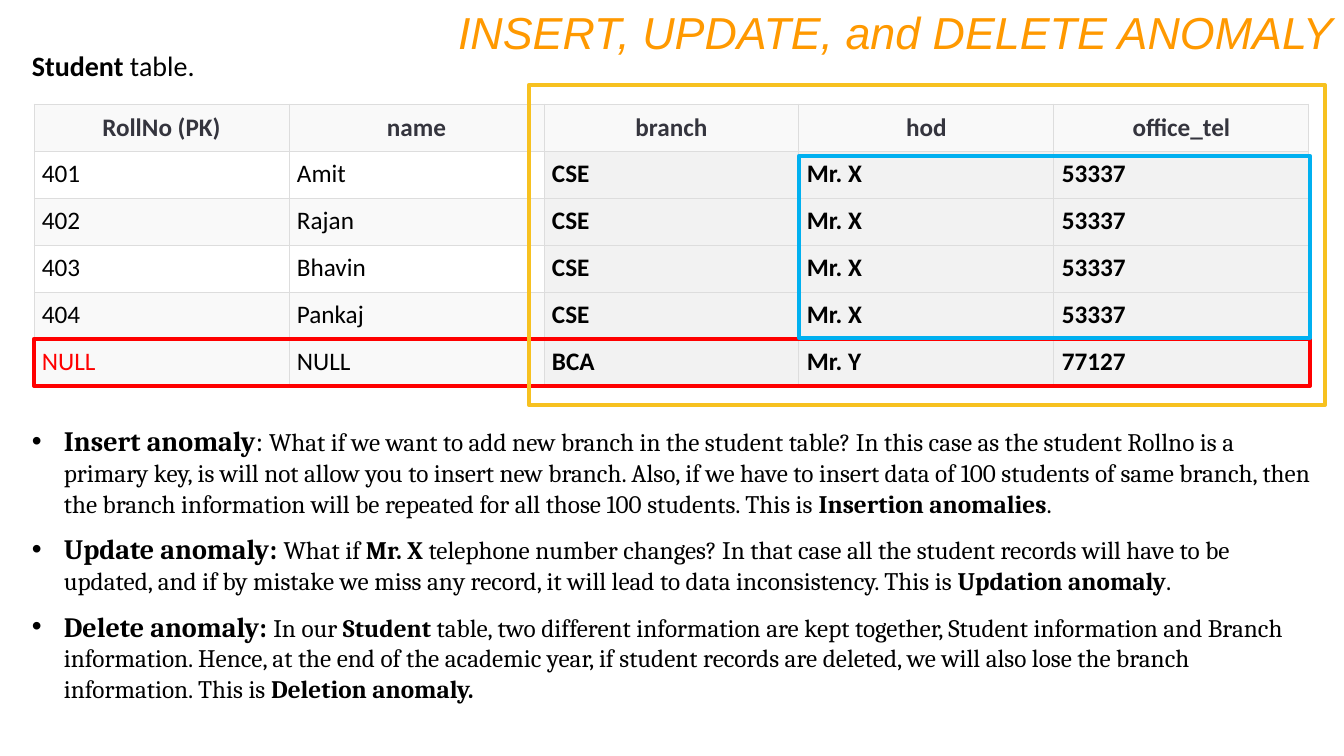
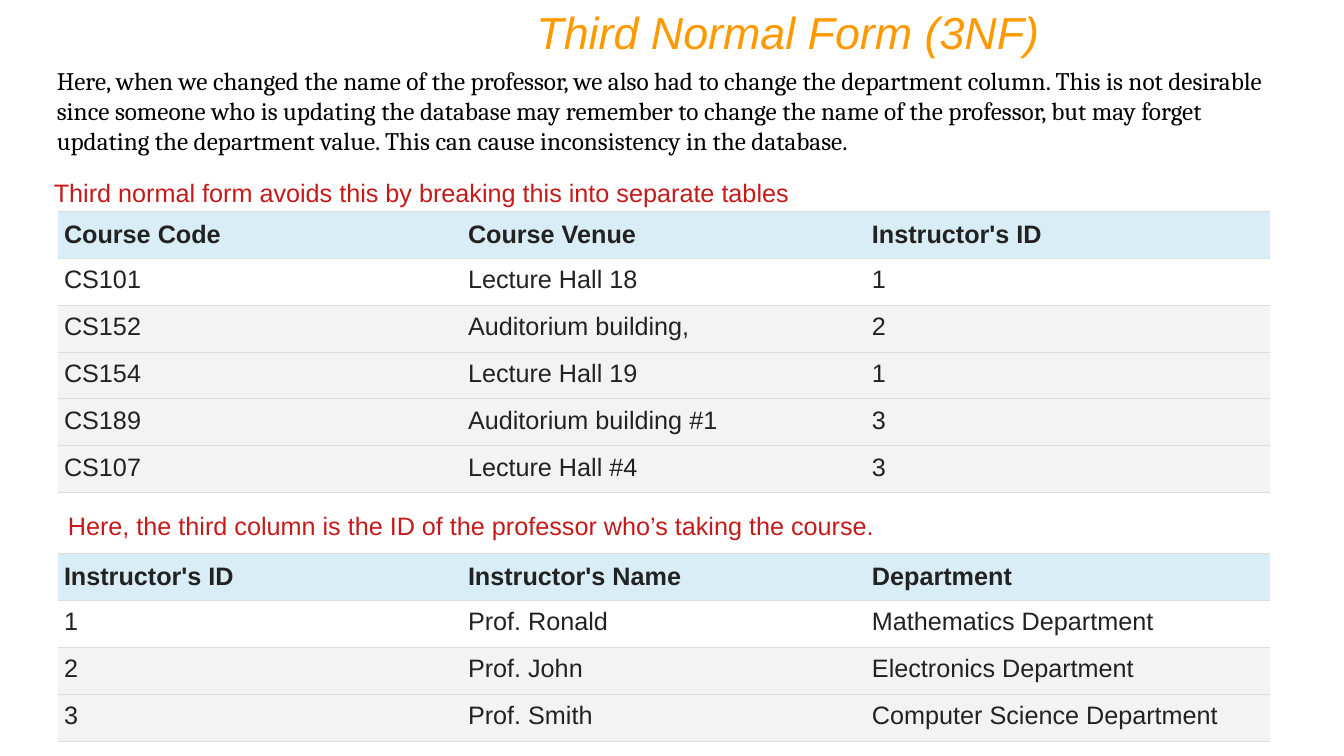
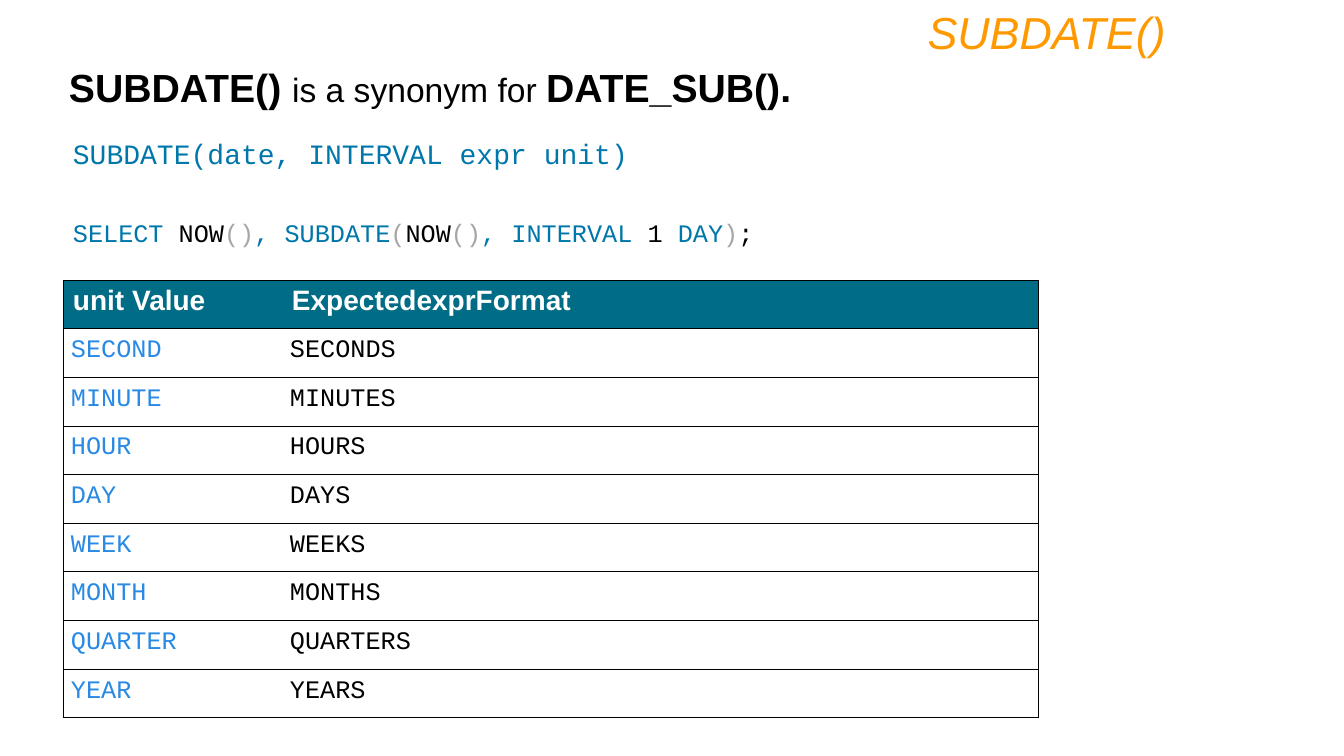
import pptx
import pptx.dml.color
import pptx.enum.shapes
import pptx.enum.text
import pptx.oxml.ns
import pptx.util
import lxml.etree

RGBColor = pptx.dml.color.RGBColor
Align = pptx.enum.text.PP_ALIGN
Anchor = pptx.enum.text.MSO_ANCHOR

PX_PER_INCH = 100.8
SLIDE_WIDTH, SLIDE_HEIGHT = 1344, 756

BLACK = RGBColor(0x00, 0x00, 0x00)
WHITE = RGBColor(0xFF, 0xFF, 0xFF)
ORANGE = RGBColor(0xFF, 0x99, 0x00)
RED = RGBColor(0xFF, 0x00, 0x00)
SKY = RGBColor(0x00, 0xB0, 0xF0)
GOLD = RGBColor(0xF7, 0xC1, 0x20)
CRIMSON = RGBColor(0xC4, 0x1A, 0x1A)
CHARCOAL = RGBColor(0x22, 0x22, 0x22)
SLATE = RGBColor(0x35, 0x35, 0x3E)
BORDER_GREY = RGBColor(0xDD, 0xDD, 0xDD)
BAND_LIGHT = RGBColor(0xF9, 0xF9, 0xF9)
BAND_GREY = RGBColor(0xF3, 0xF3, 0xF3)
BRANCH_GREY = RGBColor(0xF2, 0xF2, 0xF2)
PALE_BLUE = RGBColor(0xD9, 0xED, 0xF7)
TEAL = RGBColor(0x00, 0x6C, 0x86)
KEYWORD_BLUE = RGBColor(0x00, 0x77, 0xAA)
UNIT_BLUE = RGBColor(0x29, 0x8A, 0xE5)
BRACKET_GREY = RGBColor(0xA6, 0xA6, 0xA6)

STRONG = {"bold": True}
LEAD = {"bold": True, "size": 20}
KEYWORD = {"color": KEYWORD_BLUE}
BRACKET = {"color": BRACKET_GREY}

STUDENTS = [
    ["RollNo (PK)", "name", "branch", "hod", "office_tel"],
    ["401", "Amit", "CSE", "Mr. X", "53337"],
    ["402", "Rajan", "CSE", "Mr. X", "53337"],
    ["403", "Bhavin", "CSE", "Mr. X", "53337"],
    ["404", "Pankaj", "CSE", "Mr. X", "53337"],
    ["NULL", "NULL", "BCA", "Mr. Y", "77127"],
]
ANOMALIES = [
    [("Insert anomaly", LEAD), (": ", {"size": 20}),
     ("What if we want to add new branch in the student table? In this case as the student "
      "Rollno is a primary key, is will not allow you to insert new branch. Also, if we have "
      "to insert data of 100 students of same branch, then the branch information will be "
      "repeated for all those 100 students. This is ", {}),
     ("Insertion anomalies", STRONG), (".", {})],
    [("Update anomaly: ", LEAD), ("What if ", {}), ("Mr. X ", STRONG),
     ("telephone number changes? In that case all the student records will have to be updated, "
      "and if by mistake we miss any record, it will lead to data inconsistency. This is ", {}),
     ("Updation anomaly", STRONG), (".", {})],
    [("Delete anomaly: ", LEAD), ("In our ", {}), ("Student", STRONG),
     (" table, two different information are kept together, Student information and Branch "
      "information. Hence, at the end of the academic year, if student records are deleted, "
      "we will also lose the branch information. This is ", {}),
     ("Deletion anomaly.", STRONG)],
]
COURSES = [
    ["Course Code", "Course Venue", "Instructor's ID"],
    ["CS101", "Lecture Hall 18", "1"],
    ["CS152", "Auditorium building,", "2"],
    ["CS154", "Lecture Hall 19", "1"],
    ["CS189", "Auditorium building #1", "3"],
    ["CS107", "Lecture Hall #4", "3"],
]
INSTRUCTORS = [
    ["Instructor's ID", "Instructor's Name", "Department"],
    ["1", "Prof. Ronald", "Mathematics Department"],
    ["2", "Prof. John", "Electronics Department"],
    ["3", "Prof. Smith", "Computer Science Department"],
]
UNITS = ["SECOND", "MINUTE", "HOUR", "DAY", "WEEK", "MONTH", "QUARTER", "YEAR"]


def px(length):
    return pptx.util.Inches(length / PX_PER_INCH)


def add_element(parent, tag, **attributes):
    return lxml.etree.SubElement(parent, pptx.oxml.ns.qn(tag), attributes)


def write_span(para, text, size=18, font="Arial", color=BLACK, bold=False, italic=False):
    span = para.add_run()
    span.text = text
    span.font.size = pptx.util.Pt(size)
    span.font.name = font
    span.font.color.rgb = color
    span.font.bold = bold
    span.font.italic = italic


def write_spans(para, spans, **base):
    for text, changes in spans:
        write_span(para, text, **{**base, **changes})


def set_bullet(para, indent):
    properties = para._p.get_or_add_pPr()
    properties.set("marL", str(px(indent)))
    properties.set("indent", str(-px(indent)))
    add_element(properties, "a:buFont", typeface="Arial")
    add_element(properties, "a:buChar", char="•")


def add_titled_slide(deck, text, left, width):
    page = deck.slides.add_slide(deck.slide_layouts[5])
    title = page.shapes.title
    title.left, title.top, title.width, title.height = px(left), px(0), px(width), px(64)
    frame = title.text_frame
    frame.auto_size = pptx.enum.text.MSO_AUTO_SIZE.NONE
    frame.vertical_anchor = Anchor.TOP
    para = frame.paragraphs[0]
    para.alignment = Align.RIGHT
    write_span(para, text, size=32, color=ORANGE, italic=True)
    return page


def add_text_box(page, left, top, width, height, paragraphs, bullets=False, gap=0, **base):
    box = page.shapes.add_textbox(px(left), px(top), px(width), px(height))
    frame = box.text_frame
    frame.word_wrap = True
    for index, spans in enumerate(paragraphs):
        para = frame.add_paragraph() if index else frame.paragraphs[0]
        if bullets:
            set_bullet(para, 32)
        if index:
            para.space_before = pptx.util.Pt(gap)
        write_spans(para, spans, **base)


def add_outline(page, left, top, width, height, color):
    frame = page.shapes.add_shape(pptx.enum.shapes.MSO_SHAPE.RECTANGLE,
                                  px(left), px(top), px(width), px(height))
    frame.shadow.inherit = False
    frame.fill.background()
    frame.line.color.rgb = color
    frame.line.width = pptx.util.Pt(3)


def set_borders(cell, sides, color):
    properties = cell._tc.get_or_add_tcPr()
    for side in "LRTB":
        line = add_element(properties, f"a:ln{side}", w=str(pptx.util.Pt(0.75)))
        if side in sides:
            fill = add_element(line, "a:solidFill")
            add_element(fill, "a:srgbClr", val=str(color))
        else:
            add_element(line, "a:noFill")


def border_sides(column, last_column, verticals):
    left = verticals == "all" or (verticals == "outer" and column == 0)
    right = verticals == "all" or (verticals == "outer" and column == last_column)
    return "TB" + "L" * left + "R" * right


def add_table(page, left, top, widths, height, rows, cell_style, border, verticals,
              padding, header_padding=None, header_align=Align.LEFT, header_anchor=Anchor.TOP):
    table = page.shapes.add_table(len(rows), len(widths), px(left), px(top),
                                  px(sum(widths)), px(height)).table
    table.first_row = table.horz_banding = False
    for column, width in zip(table.columns, widths):
        column.width = px(width)
    for row_index, texts in enumerate(rows):
        table.rows[row_index].height = px(height / len(rows))
        header = row_index == 0
        across, down = header_padding if header and header_padding else padding
        for column_index, text in enumerate(texts):
            cell = table.cell(row_index, column_index)
            fill, text_format = cell_style(row_index, column_index)
            cell.margin_left = cell.margin_right = px(across)
            cell.margin_top = cell.margin_bottom = px(down)
            cell.vertical_anchor = header_anchor if header else Anchor.TOP
            set_borders(cell, border_sides(column_index, len(widths) - 1, verticals), border)
            if fill is None:
                cell.fill.background()
            else:
                cell.fill.solid()
                cell.fill.fore_color.rgb = fill
            para = cell.text_frame.paragraphs[0]
            para.alignment = header_align if header else Align.LEFT
            write_span(para, text, **text_format)


def student_style(row, column):
    if row == 0:
        return BAND_LIGHT, {"font": "Calibri", "color": SLATE, "bold": True}
    if column >= 2:
        return BRANCH_GREY, {"font": "Calibri", "bold": True}
    missing_key = row == len(STUDENTS) - 1 and column == 0
    fill = None if row in (1, 3) else BAND_LIGHT
    return fill, {"font": "Calibri", "color": RED if missing_key else BLACK}


def course_style(row, column):
    fill = {0: PALE_BLUE, 1: WHITE}.get(row, BAND_GREY)
    return fill, {"color": CHARCOAL, "bold": row == 0}


def unit_style(row, column):
    if row == 0:
        return TEAL, {"size": 20, "color": WHITE, "bold": True}
    return None, {"font": "Courier New", "color": BLACK if column else UNIT_BLUE}


def build_anomalies(deck):
    page = add_titled_slide(deck, "INSERT, UPDATE, and DELETE ANOMALY", 0, SLIDE_WIDTH)
    add_text_box(page, 22, 419, 1299, 291, ANOMALIES, bullets=True, gap=9.7, font="Cambria")
    add_table(page, 34, 104, [255] * 5, 282, STUDENTS, student_style, BORDER_GREY, "all",
              (8, 8), header_align=Align.CENTER)
    add_text_box(page, 22, 44, 300, 44, [[("Student", STRONG), (" table.", {})]],
                 size=20, font="Calibri")
    add_outline(page, 34, 339, 1276, 47, RED)
    add_outline(page, 799, 156, 511, 182, SKY)
    add_outline(page, 529, 85, 796, 320, GOLD)


def build_third_normal_form(deck):
    page = add_titled_slide(deck, "Third Normal Form (3NF)", 294, 756)
    add_text_box(page, 47, 60, 1233, 102, [[(
        "Here, when we changed the name of the professor, we also had to change the department "
        "column. This is not desirable since someone who is updating the database may remember "
        "to change the name of the professor, but may forget updating the department value. "
        "This can cause inconsistency in the database.", {})]], font="Cambria")
    for top, height, rows in [(211, 282, COURSES), (553, 188, INSTRUCTORS)]:
        add_table(page, 58, top, [404] * 3, height, rows, course_style, BORDER_GREY, "none",
                  (6, 8), header_anchor=Anchor.MIDDLE)
    for left, top, text in [
        (44, 172, "Third normal form avoids this by breaking this into separate tables"),
        (58, 505, "Here, the third column is the ID of the professor who’s taking the course."),
    ]:
        add_text_box(page, left, top, 1110, 40, [[(text, {})]], color=CRIMSON)


def build_subdate(deck):
    page = add_titled_slide(deck, "SUBDATE()", 168, 1008)
    add_text_box(page, 63, 132, 965, 44, [[("SUBDATE(date, INTERVAL expr unit)", KEYWORD)]],
                 size=20, font="Courier New")
    add_text_box(page, 63, 212, 975, 40, [[
        ("SELECT ", KEYWORD), ("NOW", {}), ("()", BRACKET), (", SUBDATE", KEYWORD),
        ("(", BRACKET), ("NOW", {}), ("()", BRACKET), (", INTERVAL ", KEYWORD),
        ("1 ", {}), ("DAY", KEYWORD), (")", BRACKET), (";", {})]], font="Courier New")
    add_text_box(page, 59, 58, 962, 57, [[
        ("SUBDATE() ", STRONG), ("is a synonym for ", {"size": 24}),
        ("DATE_SUB().", STRONG)]], size=28)
    rows = [["unit Value", "ExpectedexprFormat"]] + [[unit, unit + "S"] for unit in UNITS]
    add_table(page, 63, 280, [219, 756], 438, rows, unit_style, BLACK, "outer",
              (8, 8), header_padding=(10, 5))


def main():
    deck = pptx.Presentation()
    deck.slide_width, deck.slide_height = px(SLIDE_WIDTH), px(SLIDE_HEIGHT)
    build_anomalies(deck)
    build_third_normal_form(deck)
    build_subdate(deck)
    deck.save("out.pptx")


if __name__ == "__main__":
    main()
